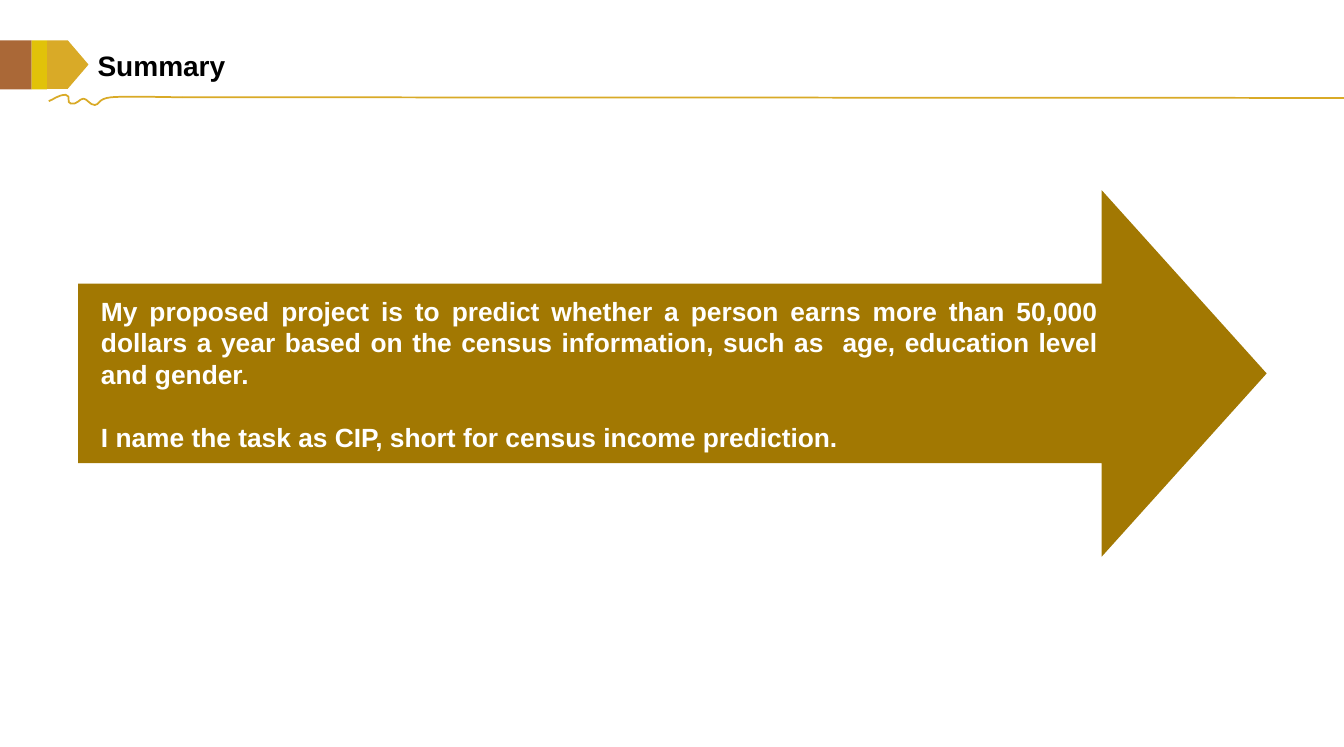
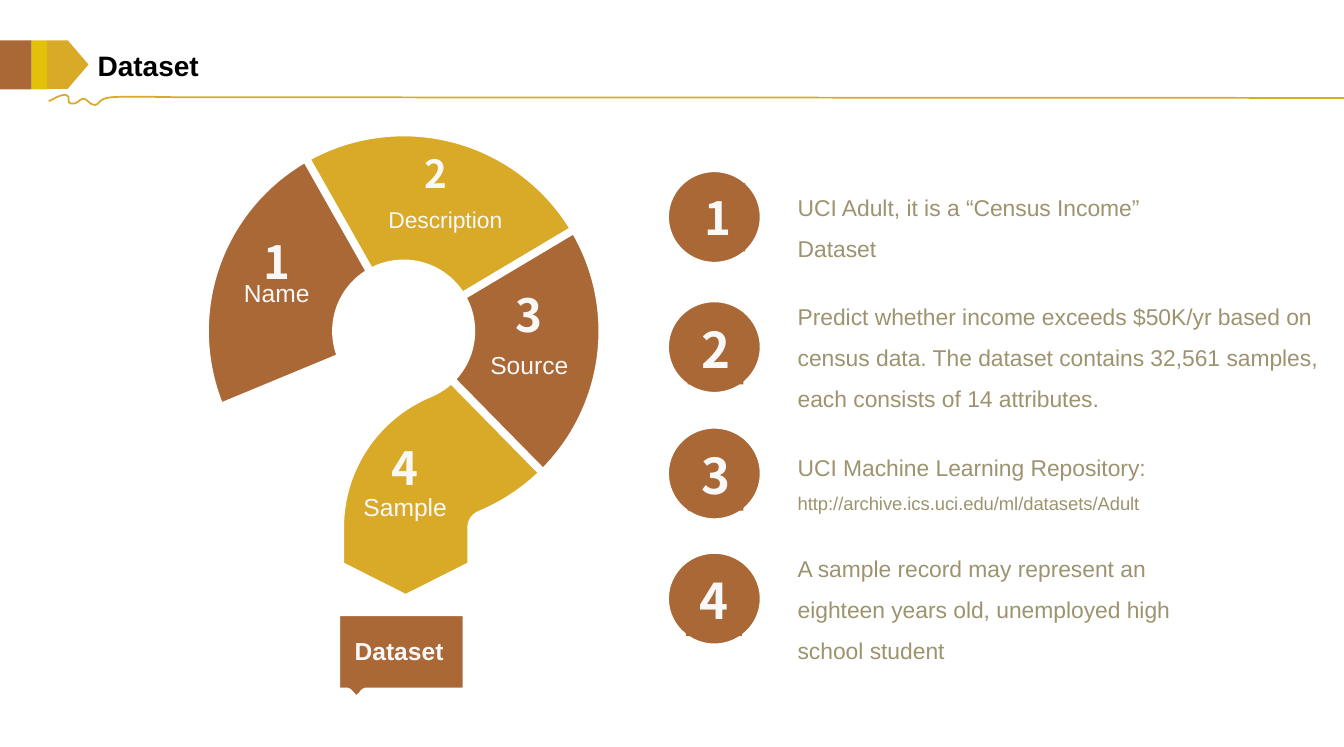
"""Build the Summary and Dataset slides of a census income presentation."""
import dataclasses
import math

import lxml.etree
import pptx
import pptx.dml.color
import pptx.enum.shapes
import pptx.enum.text
import pptx.oxml.ns
import pptx.util

Pt = pptx.util.Pt
qn = pptx.oxml.ns.qn
SHAPES = pptx.enum.shapes.MSO_SHAPE
ALIGN = pptx.enum.text.PP_ALIGN
ANCHOR = pptx.enum.text.MSO_ANCHOR


@dataclasses.dataclass(frozen=True)
class Theme:
    brown: str = "AA6837"
    gold: str = "D9AA27"
    yellow: str = "E1C209"
    arrow: str = "A27802"
    white: str = "FFFFFF"
    pale: str = "F8F8F8"
    black: str = "000000"
    body: str = "9D936F"
    font: str = "Arial"
    number_font: str = "Noto Sans CJK SC"
    title_size: float = 16
    summary_size: float = 15
    label_size: float = 14
    body_size: float = 13
    link_size: float = 10.5
    rule_width: float = 1
    outline_width: float = 4.5


THEME = Theme()
SLIDE_WIDTH, SLIDE_HEIGHT = 765.4, 425.5

SUMMARY = [
    "My proposed project is to predict whether a person earns more than 50,000 dollars a year "
    "based on the census information, such as  age, education level and gender.",
    "I name the task as CIP, short for census income prediction.",
]

# label, size, label centre, number size, number centre
SEGMENT_LABELS = [
    ("Name", 14, (157.7, 166.7), 26, (157.5, 148.7)),
    ("Description", 13, (253.6, 125), 22, (248.5, 98.7)),
    ("Source", 14, (301.5, 207.7), 26, (301.5, 179.3)),
    ("Sample", 14, (230.8, 288.7), 26, (230.6, 266.4)),
]

# circle top, number box, number size, text top, text width, text height, runs
DETAILS = [
    (95.8, (393.4, 104.4, 31, 38.9), 26, 99.7, 226, 50,
     [("UCI Adult, it is a “Census Income” Dataset", THEME.body_size)]),
    (169.9, (391.7, 178, 31.7, 41), 28, 161.7, 308.2, 73.5,
     [("Predict whether income exceeds $50K/yr based on census data. The dataset contains "
       "32,561 samples, each consists of 14 attributes.", THEME.body_size)]),
    (241.9, (391.7, 250, 31.7, 41), 28, 247.7, 236, 46,
     [("UCI Machine Learning Repository: ", THEME.body_size),
      ("http://archive.ics.uci.edu/ml/datasets/Adult", THEME.link_size)]),
    (313.2, (390.8, 321.3, 31.7, 41), 28, 305.3, 236, 73.5,
     [("A sample record may represent an eighteen years old, unemployed high school student",
       THEME.body_size)]),
]

BADGES = [
    (SHAPES.RECTANGLE, 0, 18, 28, THEME.brown),
    (SHAPES.RECTANGLE, 18, 8.8, 28, THEME.yellow),
    (SHAPES.PENTAGON, 26.8, 23.6, 27.6, THEME.gold),
]
BADGE_TOP = 23

SQUIGGLE = [
    ((27.8, 57.6),),
    ((30.2, 56.9), (33.1, 54), (37.4, 54)),
    ((41, 54.7), (37.4, 58.3), (40.3, 59)),
    ((43.9, 59.8), (45.4, 56.2), (47.5, 56.2)),
    ((49.7, 56.2), (51.1, 59.8), (54, 59.8)),
    ((56.9, 59.8), (55.4, 56.2), (63.4, 55.4)),
    ((72, 54.7), (95.8, 55.4), (103.7, 55.4)),
]

RING_CENTER = (229.9, 188.6)
OUTER_RADIUS, INNER_RADIUS = 113.2, 38.5
RING_START, TAIL_ANGLE = 157.5, 427.5
TAIL_DISTANCE = 121
TAIL_SHOULDER, TAIL_TIP = 322, 340.8
RING_SEGMENTS = [
    (240.3, 331.2, THEME.gold),
    (329.2, 405.5, THEME.brown),
    (RING_START, 240.5, THEME.brown),
]
CALLOUT = [(191.5, 348.7), (265.7, 348.7), (265.7, 394), (208, 394),
           (203, 399.1), (198, 394), (191.5, 394)]


def rgb(value):
    return pptx.dml.color.RGBColor.from_string(value)


def paint(shape, fill=None, line=None, width=THEME.outline_width):
    shape.shadow.inherit = False
    if fill:
        shape.fill.solid()
        shape.fill.fore_color.rgb = rgb(fill)
    else:
        shape.fill.background()
    if line:
        shape.line.color.rgb = rgb(line)
        shape.line.width = Pt(width)
    else:
        shape.line.fill.background()
    return shape


def set_font(font, size, color, bold=False, name=THEME.font):
    font.name, font.size, font.bold = name, Pt(size), bold
    font.color.rgb = rgb(color)


def frame_text(shape, insets=(0, 0, 0, 0), anchor=ANCHOR.MIDDLE, wrap=True):
    frame = shape.text_frame
    frame.auto_size = pptx.enum.text.MSO_AUTO_SIZE.NONE
    frame.word_wrap = wrap
    frame.vertical_anchor = anchor
    frame.margin_left, frame.margin_top, frame.margin_right, frame.margin_bottom = map(Pt, insets)
    return frame


def write_line(shape, text, size, color, bold=False, name=THEME.font, align=ALIGN.CENTER, **frame):
    paragraph = frame_text(shape, **frame).paragraphs[0]
    paragraph.text = text
    paragraph.alignment = align
    set_font(paragraph.font, size, color, bold, name)


def add_preset(slide, kind, left, top, width, height, fill, line=None):
    return paint(slide.shapes.add_shape(kind, Pt(left), Pt(top), Pt(width), Pt(height)), fill, line)


def add_box(slide, left, top, width, height):
    return slide.shapes.add_textbox(Pt(left), Pt(top), Pt(width), Pt(height))


def add_outline(slide, steps, fill=None, line=THEME.white, width=THEME.outline_width, close=True):
    ends = [(Pt(x), Pt(y)) for x, y in (step[-1] for step in steps)]
    builder = slide.shapes.build_freeform(*ends[0])
    builder.add_line_segments(ends[1:], close=close)
    shape = builder.convert_to_shape()
    for segment, step in zip(list(shape._element.iter(qn("a:lnTo"))), steps[1:]):
        if len(step) == 3:
            segment.tag = qn("a:cubicBezTo")
            for position, (x, y) in enumerate(step[:2]):
                point = lxml.etree.Element(qn("a:pt"), x=str(Pt(x) - shape.left),
                                           y=str(Pt(y) - shape.top))
                segment.insert(position, point)
    return paint(shape, fill, line, width)


def straight(points):
    return [(point,) for point in points]


def polar(center, radius, angle):
    radians = math.radians(angle)
    return center[0] + radius * math.cos(radians), center[1] + radius * math.sin(radians)


def arc(center, radius, start, end):
    quarters = [angle for angle in range(0, 450, 90) if min(start, end) < angle < max(start, end)]
    angles = sorted([start, *quarters, end], reverse=start > end)
    steps = straight([polar(center, radius, start)])
    for first, last in zip(angles, angles[1:]):
        handle = radius * 4 / 3 * math.tan(math.radians(last - first) / 4)
        begin, finish = polar(center, radius, first), polar(center, radius, last)
        steps.append((polar(begin, handle, first + 90), polar(finish, -handle, last + 90), finish))
    return steps


def add_titled_slide(presentation, title):
    slide = presentation.slides.add_slide(presentation.slide_layouts[5])
    heading = slide.shapes.title
    heading.left, heading.top, heading.width, heading.height = map(Pt, (50.6, 25.2, 259.2, 24.5))
    write_line(heading, title, THEME.title_size, THEME.black, bold=True, align=ALIGN.LEFT,
               insets=(5, 3, 5, 3))
    add_outline(slide, SQUIGGLE, line=THEME.gold, width=THEME.rule_width, close=False)
    rule = slide.shapes.add_connector(pptx.enum.shapes.MSO_CONNECTOR.STRAIGHT,
                                      Pt(103.7), Pt(55.4), Pt(SLIDE_WIDTH), Pt(55.8))
    rule.line.color.rgb = rgb(THEME.gold)
    rule.line.width = Pt(THEME.rule_width)
    lxml.etree.SubElement(rule._element.spPr, qn("a:effectLst"))
    for kind, left, width, height, color in BADGES:
        add_preset(slide, kind, left, BADGE_TOP, width, height, color)
    return slide


def build_summary(presentation):
    slide = add_titled_slide(presentation, "Summary")
    arrow = add_preset(slide, SHAPES.DOWN_ARROW, 278.6, -125.7, 208.8, 676.8, THEME.arrow)
    arrow.rotation = 270
    arrow.adjustments[0], arrow.adjustments[1] = 0.49, 0.45
    box = add_box(slide, 50.4, 164.4, 582.2, 96.5)
    frame = frame_text(box, insets=(7.2, 3.6, 7.2, 3.6), anchor=ANCHOR.TOP)
    frame.text = "\n".join(SUMMARY)
    for paragraph in frame.paragraphs:
        paragraph.alignment = ALIGN.JUSTIFY
        set_font(paragraph.font, THEME.summary_size, THEME.white, bold=True)
    frame.paragraphs[-1].space_before = Pt(18)


def add_question_mark(slide):
    tail_center = polar(RING_CENTER, TAIL_DISTANCE, TAIL_ANGLE)
    bend = TAIL_ANGLE - 180
    right_side = arc(tail_center, TAIL_DISTANCE - OUTER_RADIUS, bend, 180)
    left_side = arc(tail_center, TAIL_DISTANCE - INNER_RADIUS, 180, bend)
    right, left = right_side[-1][-1][0], left_side[0][-1][0]
    point = straight([(right, TAIL_SHOULDER), ((left + right) / 2, TAIL_TIP),
                      (left, TAIL_SHOULDER)])
    add_outline(slide, arc(RING_CENTER, OUTER_RADIUS, RING_START, TAIL_ANGLE) + right_side[1:]
                + point + left_side + arc(RING_CENTER, INNER_RADIUS, TAIL_ANGLE, RING_START)[1:],
                THEME.gold)
    for start, end, color in RING_SEGMENTS:
        add_outline(slide, arc(RING_CENTER, OUTER_RADIUS, start, end)
                    + arc(RING_CENTER, INNER_RADIUS, end, start), color)


def add_centered_label(slide, text, size, center, width, height, **style):
    box = add_box(slide, center[0] - width / 2, center[1] - height / 2, width, height)
    write_line(box, text, size, THEME.pale, **style)


def build_dataset(presentation):
    slide = add_titled_slide(presentation, "Dataset")
    add_outline(slide, straight(CALLOUT), THEME.brown)
    add_question_mark(slide)
    add_centered_label(slide, "Dataset", THEME.label_size, (227.3, 370.7), 67.7, 22.3, bold=True)
    number_style = {"bold": True, "name": THEME.number_font, "wrap": False}
    for number, (label, size, center, number_size, number_center) in enumerate(SEGMENT_LABELS, 1):
        add_centered_label(slide, str(number), number_size, number_center, 31, 39, **number_style)
        add_centered_label(slide, label, size, center, 88, 24)
    for number, (top, place, size, text_top, width, height, runs) in enumerate(DETAILS, 1):
        add_preset(slide, SHAPES.OVAL, 378.7, top, 56.2, 55.6, THEME.brown, THEME.white)
        number_box = add_preset(slide, SHAPES.RECTANGLE, *place, THEME.brown)
        write_line(number_box, str(number), size, THEME.pale, **number_style)
        box = add_box(slide, 449.3, text_top, width, height)
        paragraph = frame_text(box, insets=(5, 3, 5, 3), anchor=ANCHOR.TOP).paragraphs[0]
        paragraph.line_spacing = 1.5
        for text, run_size in runs:
            run = paragraph.add_run()
            run.text = text
            set_font(run.font, run_size, THEME.body)


def main():
    presentation = pptx.Presentation()
    presentation.slide_width, presentation.slide_height = Pt(SLIDE_WIDTH), Pt(SLIDE_HEIGHT)
    build_summary(presentation)
    build_dataset(presentation)
    presentation.save("out.pptx")


if __name__ == "__main__":
    main()
